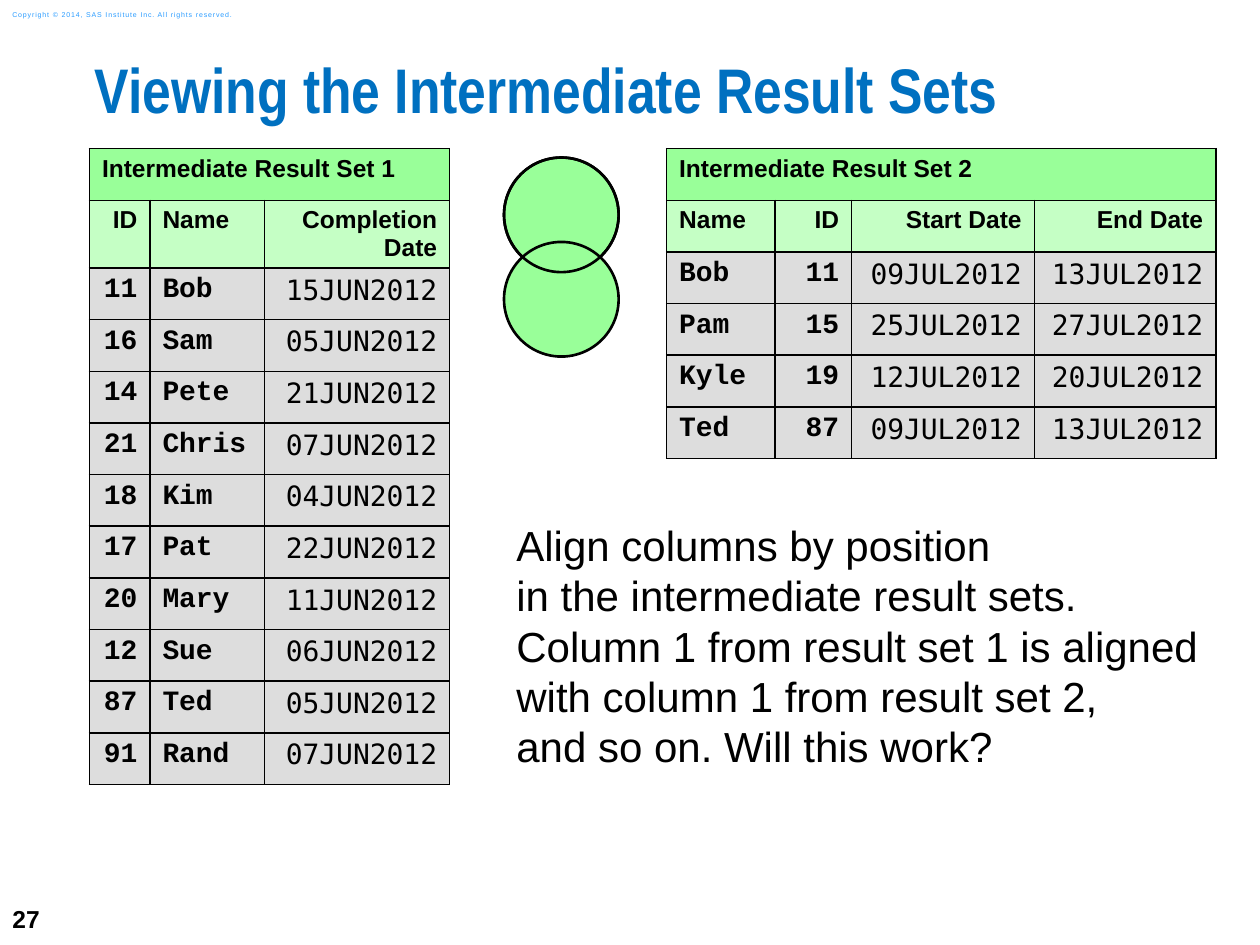
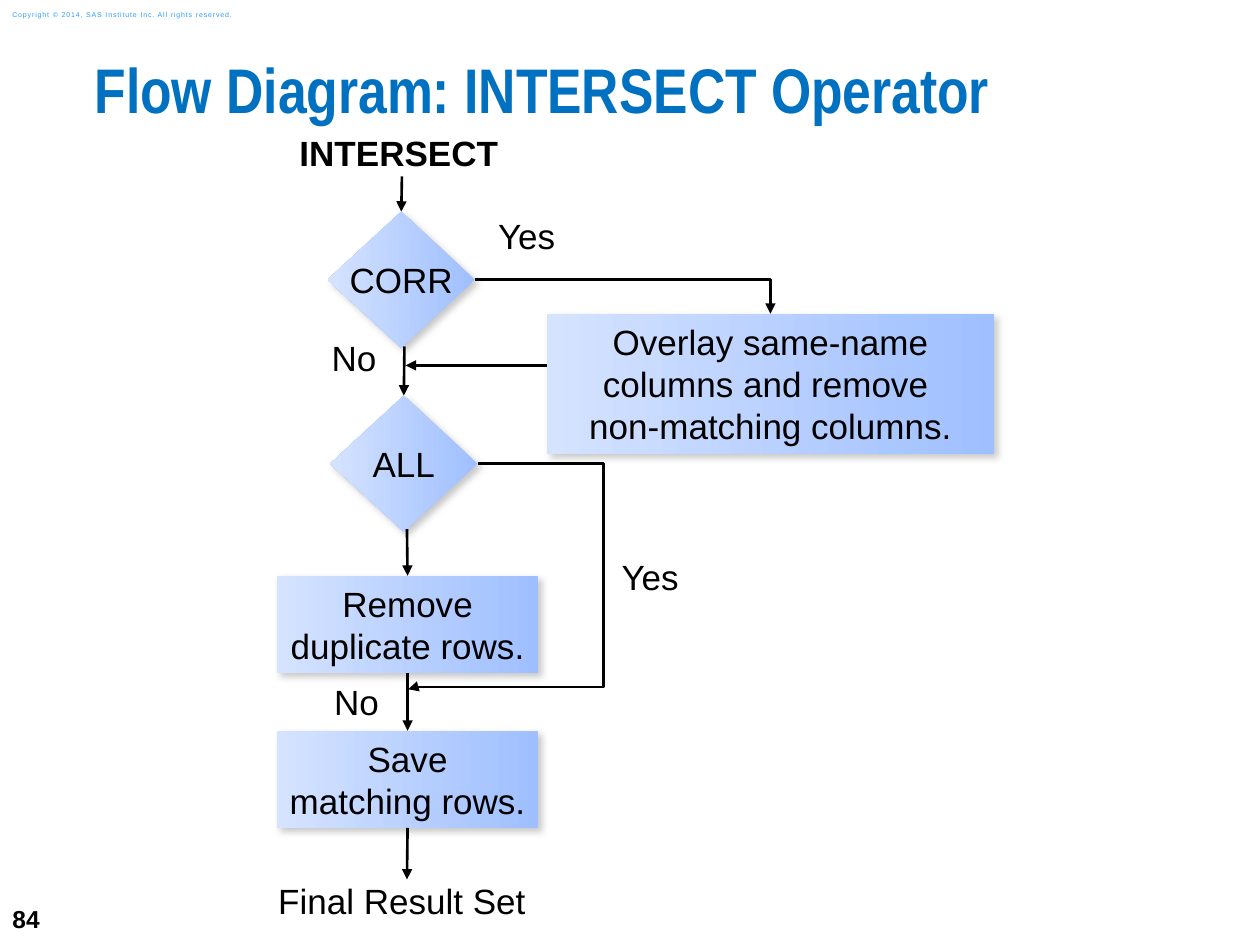
from dataclasses import dataclass

import lxml.etree
import pptx
import pptx.dml.color
import pptx.enum.shapes
import pptx.enum.text
import pptx.oxml
import pptx.oxml.ns
import pptx.util

Inches = pptx.util.Inches
Pt = pptx.util.Pt
qn = pptx.oxml.ns.qn
ALIGN = pptx.enum.text.PP_ALIGN
ANCHOR = pptx.enum.text.MSO_ANCHOR
AUTO = pptx.enum.text.MSO_AUTO_SIZE
SHAPE = pptx.enum.shapes.MSO_SHAPE
CONNECTOR = pptx.enum.shapes.MSO_CONNECTOR
TOP, LEFT, BOTTOM, RIGHT = range(4)


@dataclass(frozen=True)
class Theme:
    black: str = "000000"
    title: str = "0070C0"
    copyright: str = "2A9CFF"
    set_green: str = "99FF99"
    header_green: str = "C5FFC5"
    data_gray: str = "DDDDDD"
    step_dark: str = "9FBFFF"
    step_light: str = "D5E3FF"
    shadow: str = "B3B3B3"
    sans: str = "Arial"
    narrow: str = "Arial Narrow"
    key_font: str = "Courier New"
    date_font: str = "DejaVu Sans Mono"
    title_size: int = 36
    body_size: int = 24
    flow_size: int = 20
    data_size: int = 16
    header_size: int = 14
    copyright_size: int = 4
    line_width: float = 1.5


THEME = Theme()
COPYRIGHT = "Copyright © 2014, SAS Institute Inc. All rights reserved."


def rgb(value):
    return pptx.dml.color.RGBColor.from_string(value)


def apply(target, **values):
    for name, value in values.items():
        setattr(target, name, value)


def box(at):
    return [Inches(length) for length in at]


def write(frame, text, size, font=THEME.sans, color=THEME.black, bold=False,
          align=ALIGN.LEFT, spacing=None):
    frame.text = text
    for paragraph in frame.paragraphs:
        apply(paragraph, alignment=align, line_spacing=spacing)
        for run in paragraph.runs:
            apply(run.font, name=font, size=Pt(size), bold=bold)
            run.font.color.rgb = rgb(color)


def set_frame(frame, inset_x=0.1, inset_y=0.05, anchor=ANCHOR.TOP, wrap=False,
              auto_size=AUTO.NONE):
    apply(frame, margin_left=Inches(inset_x), margin_right=Inches(inset_x),
          margin_top=Inches(inset_y), margin_bottom=Inches(inset_y),
          vertical_anchor=anchor, word_wrap=wrap, auto_size=auto_size)


def add_text(slide, at, text, size, frame_format, **text_format):
    frame = slide.shapes.add_textbox(*box(at)).text_frame
    set_frame(frame, **frame_format)
    write(frame, text, size, **text_format)
    return frame


def add_page(deck, title, number):
    slide = deck.slides.add_slide(deck.slide_layouts[5])
    heading = slide.shapes.title
    left, top, width, height = box((0.75, 0.5, 9.25, 0.75))
    apply(heading, left=left, top=top, width=width, height=height)
    set_frame(heading.text_frame, 0, 0, wrap=True)
    write(heading.text_frame, title, THEME.title_size, THEME.narrow,
          THEME.title, True, spacing=0.83)
    add_text(slide, (0, 7.08, 0.58, 0.42), str(number), THEME.header_size,
             {"anchor": ANCHOR.MIDDLE}, bold=True)
    notice = add_text(slide, (0, 0.03, 2.11, 0.17), COPYRIGHT,
                      THEME.copyright_size,
                      {"anchor": ANCHOR.MIDDLE, "wrap": True},
                      color=THEME.copyright)
    notice.paragraphs[0].runs[0].font._element.set("spc", "50")
    return slide


def border_cell(cell):
    properties = cell._tc.get_or_add_tcPr()
    for side in ("lnL", "lnR", "lnT", "lnB"):
        edge = lxml.etree.SubElement(properties, qn(f"a:{side}"), w=str(Pt(1)))
        fill = lxml.etree.SubElement(edge, qn("a:solidFill"))
        lxml.etree.SubElement(fill, qn("a:srgbClr"), val=THEME.black)


def add_result_set(slide, left, widths, caption, headers, rows):
    row_height = 0.41
    lines = [[caption] + [""] * (len(headers) - 1), headers, *rows]
    at = (left, 1.18, sum(widths), row_height * len(lines))
    table = slide.shapes.add_table(len(lines), len(headers), *box(at)).table
    apply(table, first_row=False, horz_banding=False)
    for column, width in zip(table.columns, widths):
        column.width = Inches(width)
    table.cell(0, 0).merge(table.cell(0, len(headers) - 1))
    for r, line in enumerate(lines):
        table.rows[r].height = Inches(row_height)
        for c, text in enumerate(line):
            cell = table.cell(r, c)
            border_cell(cell)
            cell.fill.solid()
            cell.fill.fore_color.rgb = rgb(
                (THEME.set_green, THEME.header_green, THEME.data_gray)[min(r, 2)])
            is_data = r > 1
            is_date = is_data and "Date" in headers[c]
            data_font = THEME.date_font if is_date else THEME.key_font
            flush_left = r == 0 or headers[c] == "Name"
            write(cell.text_frame, text,
                  THEME.data_size if is_data else THEME.header_size,
                  data_font if is_data else THEME.sans, bold=not is_date,
                  align=ALIGN.LEFT if flush_left else ALIGN.RIGHT)


def add_circle(slide, top, filled=True):
    circle = slide.shapes.add_shape(SHAPE.OVAL, *box((4, top, 0.91, 0.91)))
    circle.shadow.inherit = False
    if filled:
        circle.fill.solid()
        circle.fill.fore_color.rgb = rgb(THEME.set_green)
    else:
        circle.fill.background()
    circle.line.color.rgb = rgb(THEME.black)
    circle.line.width = Pt(THEME.line_width)


def add_step(slide, kind, at, text, inset_y=0.05, wrap=False):
    step = slide.shapes.add_shape(kind, *box(at))
    step.line.fill.background()
    step.fill.gradient()
    step.fill.gradient_angle = 180
    colors = (THEME.step_dark, THEME.step_light)
    for position, (stop, color) in enumerate(zip(step.fill.gradient_stops, colors)):
        stop.position = position
        stop.color.rgb = rgb(color)
    step.shadow.inherit = False
    effects = step.element.spPr.find(qn("a:effectLst"))
    shadow = lxml.etree.SubElement(
        effects, qn("a:outerShdw"), blurRad=str(Pt(4)), dist=str(Pt(3)),
        dir=str(45 * 60000), algn="tl", rotWithShape="0")
    tint = lxml.etree.SubElement(shadow, qn("a:srgbClr"), val=THEME.shadow)
    lxml.etree.SubElement(tint, qn("a:alpha"), val="71000")
    set_frame(step.text_frame, inset_y=inset_y, anchor=ANCHOR.MIDDLE, wrap=wrap)
    write(step.text_frame, text, THEME.flow_size, align=ALIGN.CENTER)
    return step


def add_label(slide, at, text, **text_format):
    add_text(slide, at, text, THEME.flow_size, {"inset_x": 0, "inset_y": 0},
             align=ALIGN.CENTER, **text_format)


def add_arrow(slide, start, end, source=None, target=None, bend=None, adjust=()):
    kind = CONNECTOR.ELBOW if bend else CONNECTOR.STRAIGHT
    arrow = slide.shapes.add_connector(kind, *box(start + end))
    if source:
        arrow.begin_connect(*source)
    if target:
        arrow.end_connect(*target)
    arrow.line.color.rgb = rgb(THEME.black)
    arrow.line.width = Pt(THEME.line_width)
    properties = arrow.element.spPr
    lxml.etree.SubElement(properties.find(qn("a:ln")), qn("a:tailEnd"),
                          type="triangle")
    lxml.etree.SubElement(properties, qn("a:effectLst"))
    if bend:
        geometry = properties.find(qn("a:prstGeom"))
        geometry.set("prst", bend)
        guides = geometry.find(qn("a:avLst"))
        for number, value in enumerate(adjust, 1):
            lxml.etree.SubElement(guides, qn("a:gd"), name=f"adj{number}",
                                  fmla=f"val {value}")


def build_result_sets(deck):
    slide = add_page(deck, "Viewing the Intermediate Result Sets", 27)
    completions = """11 Bob 15JUN2012
16 Sam 05JUN2012
14 Pete 21JUN2012
21 Chris 07JUN2012
18 Kim 04JUN2012
17 Pat 22JUN2012
20 Mary 11JUN2012
12 Sue 06JUN2012
87 Ted 05JUN2012
91 Rand 07JUN2012"""
    periods = """Bob 11 09JUL2012 13JUL2012
Pam 15 25JUL2012 27JUL2012
Kyle 19 12JUL2012 20JUL2012
Ted 87 09JUL2012 13JUL2012"""
    add_result_set(slide, 0.71, (0.48, 0.91, 1.47), "Intermediate Result Set 1",
                   ["ID", "Name", "Completion Date"],
                   [line.split() for line in completions.splitlines()])
    add_result_set(slide, 5.29, (0.86, 0.61, 1.45, 1.44),
                   "Intermediate Result Set 2",
                   ["Name", "ID", "Start Date", "End Date"],
                   [line.split() for line in periods.splitlines()])
    add_text(slide, (4, 4.05, 5.69, 2.12),
             "Align columns by position \vin the intermediate result sets. "
             "Column 1 from result set 1 is aligned with column 1 from "
             "result set 2, \vand so on. Will this work?",
             THEME.body_size, {"anchor": ANCHOR.BOTTOM, "wrap": True})
    add_circle(slide, 1.25)
    add_circle(slide, 1.92)
    add_circle(slide, 1.25, filled=False)


def build_flow(deck):
    slide = add_page(deck, "Flow Diagram: INTERSECT Operator", 84)
    corr = add_step(slide, SHAPE.DIAMOND, (2.6, 1.68, 1.17, 1.08), "CORR", 0.1)
    every = add_step(slide, SHAPE.DIAMOND, (2.62, 3.14, 1.17, 1.08), "ALL", 0.1)
    overlay = add_step(slide, SHAPE.RECTANGLE, (4.34, 2.49, 3.55, 1.11),
                       "Overlay same-name columns and remove \v"
                       "non-matching columns.", wrap=True)
    remove = add_step(slide, SHAPE.RECTANGLE, (2.2, 4.57, 2.07, 0.77),
                      "Remove\vduplicate rows.")
    save = add_step(slide, SHAPE.RECTANGLE, (2.2, 5.8, 2.07, 0.77),
                    "Save\vmatching rows.")

    add_label(slide, (2.37, 1.04, 1.59, 0.34), "INTERSECT", bold=True)
    for left, top, width, answer in ((3.95, 1.7, 0.46, "Yes"),
                                     (2.63, 2.67, 0.36, "No"),
                                     (4.93, 4.41, 0.46, "Yes"),
                                     (2.65, 5.4, 0.36, "No")):
        add_label(slide, (left, top, width, 0.34), answer)
    add_label(slide, (2.2, 7.03, 1.98, 0.29), "Final Result Set", spacing=0.85)

    add_arrow(slide, (3.19, 1.4), (3.19, 1.68), target=(corr, TOP))
    add_arrow(slide, (3.21, 2.75), (3.21, 3.14), target=(every, TOP))
    add_arrow(slide, (4.34, 2.9), (3.22, 2.9))
    add_arrow(slide, (3.23, 4.2), (3.23, 4.57), target=(remove, TOP))
    add_arrow(slide, (3.23, 5.34), (3.23, 5.8), (remove, BOTTOM), (save, TOP))
    add_arrow(slide, (3.23, 6.57), (3.23, 6.98), source=(save, BOTTOM))
    add_arrow(slide, (3.77, 2.22), (6.12, 2.49), (corr, RIGHT), (overlay, TOP),
              "bentConnector2")
    add_arrow(slide, (3.79, 3.68), (3.24, 5.47), source=(every, RIGHT),
              bend="bentConnector4", adjust=(-181700, 99000))


def main():
    deck = pptx.Presentation()
    apply(deck, slide_width=Inches(10), slide_height=Inches(7.5))
    build_result_sets(deck)
    build_flow(deck)
    deck.save("out.pptx")


if __name__ == "__main__":
    main()
